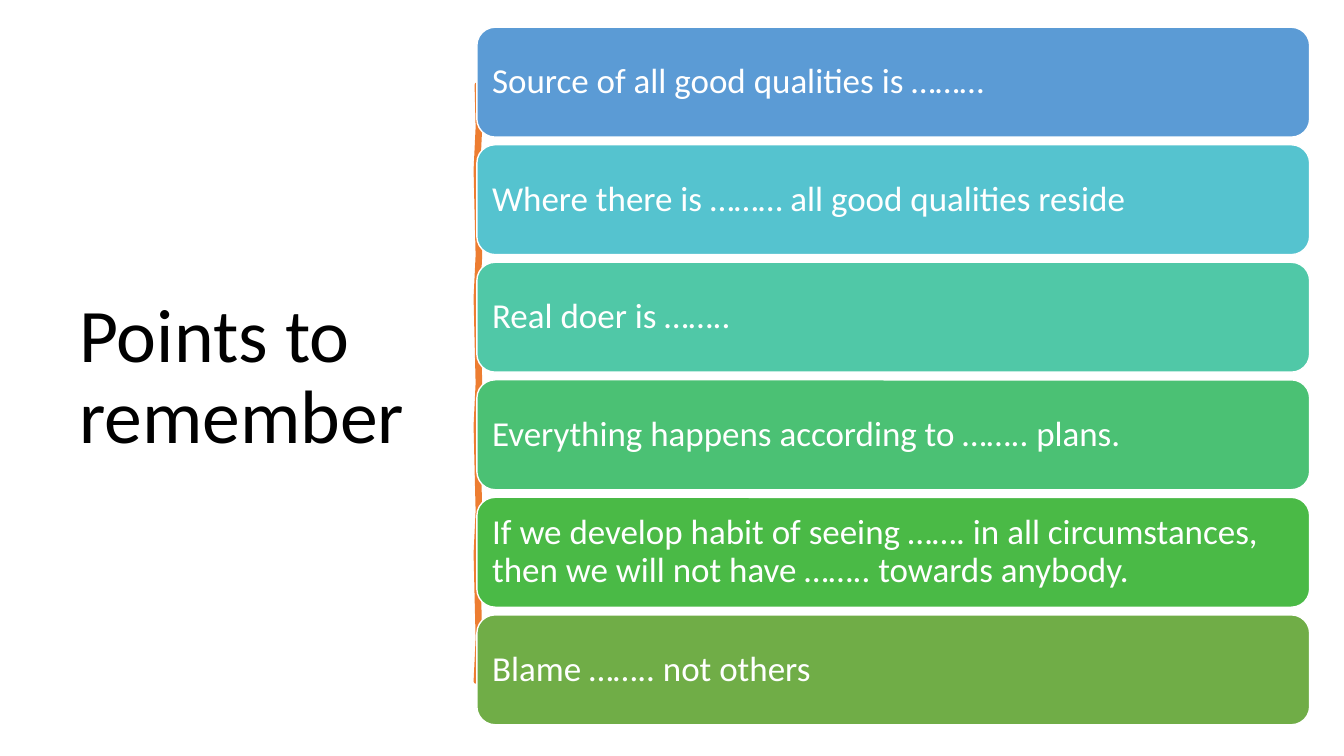
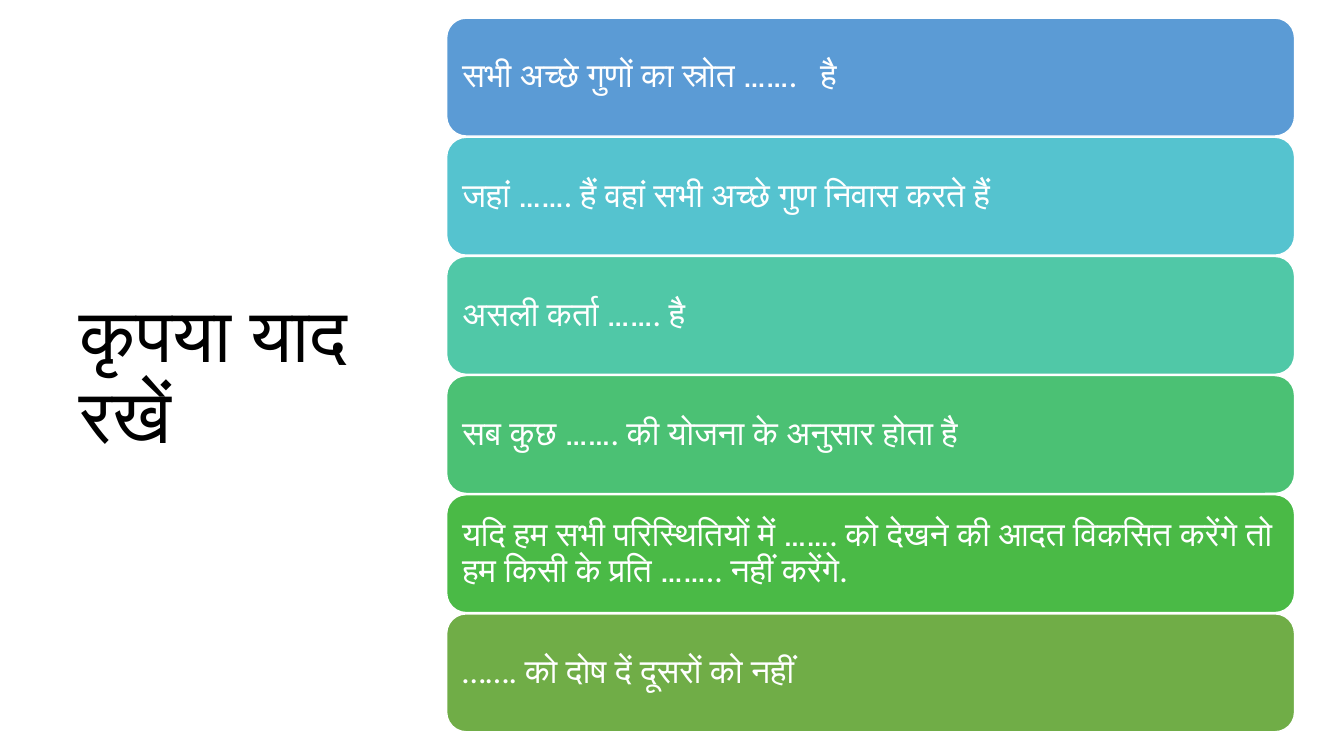
from pptx import Presentation
from pptx.dml.color import RGBColor
from pptx.enum.shapes import MSO_SHAPE as Shape
from pptx.enum.text import MSO_ANCHOR as Anchor, PP_ALIGN as Align
from pptx.util import Inches, Pt

COLORS = {
    "ink": "000000",
    "paper": "FFFFFF",
    "accent": "ED7D31",
    "blue": "5B9BD5",
    "cyan": "55C3CF",
    "teal": "50C8A7",
    "mint": "4BC174",
    "green": "4ABA46",
    "olive": "70AD47",
}
BAR_COLORS = ("blue", "cyan", "teal", "mint", "green", "olive")
FONT = "Calibri"
WIDE_GAP = " "  # a run of its own, stretched by character spacing


class Deck:
    """Holds the shared style and the current slide."""

    def __init__(self):
        self.deck = Presentation()
        self.deck.slide_width = Inches(13.33)
        self.deck.slide_height = Inches(7.5)
        self.page = None

    def new_page(self):
        self.page = self.deck.slides.add_slide(self.deck.slide_layouts[6])

    def paint(self, shape, fill, line, width):
        shape.shadow.inherit = False
        shape.fill.solid()
        shape.fill.fore_color.rgb = RGBColor.from_string(COLORS[fill])
        shape.line.color.rgb = RGBColor.from_string(COLORS[line])
        shape.line.width = Pt(width)

    def add_text(self, shape, parts, size, color):
        frame = shape.text_frame
        frame.word_wrap = True
        frame.vertical_anchor = Anchor.MIDDLE
        para = frame.paragraphs[0]
        para.alignment = Align.LEFT
        para.line_spacing = 0.9
        for part in parts:
            span = para.add_run()
            span.text = part
            span.font.name = FONT
            span.font.size = Pt(size)
            span.font.color.rgb = RGBColor.from_string(COLORS[color])
            if part == WIDE_GAP:
                span.font._element.set("spc", "1100")

    def title(self, text):
        box = self.page.shapes.add_textbox(
            Inches(0.69), Inches(0.7), Inches(3.74), Inches(6.11))
        self.add_text(box, [text], 54, "ink")

    def sketched_rule(self, left, top, bottom, steps=14):
        """A thin upright stroke whose edges waver a little."""
        step = (bottom - top) / steps
        wobble = (0, 0.01, -0.01)
        edge = [(left + wobble[i % 3], top + i * step)
                for i in range(steps + 1)]
        far_edge = [(x + 0.02, y) for x, y in reversed(edge)]
        points = [(Inches(x), Inches(y)) for x, y in edge + far_edge]
        builder = self.page.shapes.build_freeform(*points[0])
        builder.add_line_segments(points[1:], close=True)
        self.paint(builder.convert_to_shape(), "accent", "accent", 3.25)

    def bars(self, points, left, top, width, height, pitch, size):
        for row, (parts, color) in enumerate(zip(points, BAR_COLORS)):
            bar = self.page.shapes.add_shape(
                Shape.ROUNDED_RECTANGLE, Inches(left),
                Inches(top + row * pitch), Inches(width), Inches(height))
            self.paint(bar, color, "paper", 1)
            frame = bar.text_frame
            frame.margin_left = frame.margin_right = Inches(0.1)
            frame.margin_top = frame.margin_bottom = Inches(0.1)
            self.add_text(bar, parts, size, "paper")

    def save(self):
        self.deck.save("out.pptx")


ENGLISH_POINTS = [
    ["Source of all good qualities is ………"],
    ["Where there is ……… all good qualities reside"],
    ["Real doer is …….."],
    ["Everything happens according to …….. plans."],
    ["If we develop habit of seeing ……. in all circumstances, "
     "then we will not have …….. towards anybody."],
    ["Blame …….. not others"],
]
HINDI_POINTS = [
    ["सभी अच्छे गुणों का स्रोत …….", WIDE_GAP, "है"],
    ["जहां ……. हैं वहां सभी अच्छे गुण निवास करते हैं"],
    ["असली कर्ता ……. है"],
    ["सब कुछ ……. की योजना के अनुसार होता है"],
    ["यदि हम सभी परिस्थितियों में ……. को देखने की आदत विकसित करेंगे तो "
     "हम किसी के प्रति …….. नहीं करेंगे."],
    ["……. को दोष दें दूसरों को नहीं"],
]


def main():
    deck = Deck()

    # English points
    deck.new_page()
    deck.title("Points to remember")
    deck.sketched_rule(left=4.73, top=0.84, bottom=6.76)
    deck.bars(ENGLISH_POINTS, left=4.73, top=0.27, width=8.26,
              height=1.09, pitch=1.166, size=25)

    # Hindi points
    deck.new_page()
    deck.title("कृपया याद रखें")
    deck.bars(HINDI_POINTS, left=4.43, top=0.18, width=8.41,
              height=1.17, pitch=1.182, size=24)

    deck.save()


if __name__ == "__main__":
    main()
